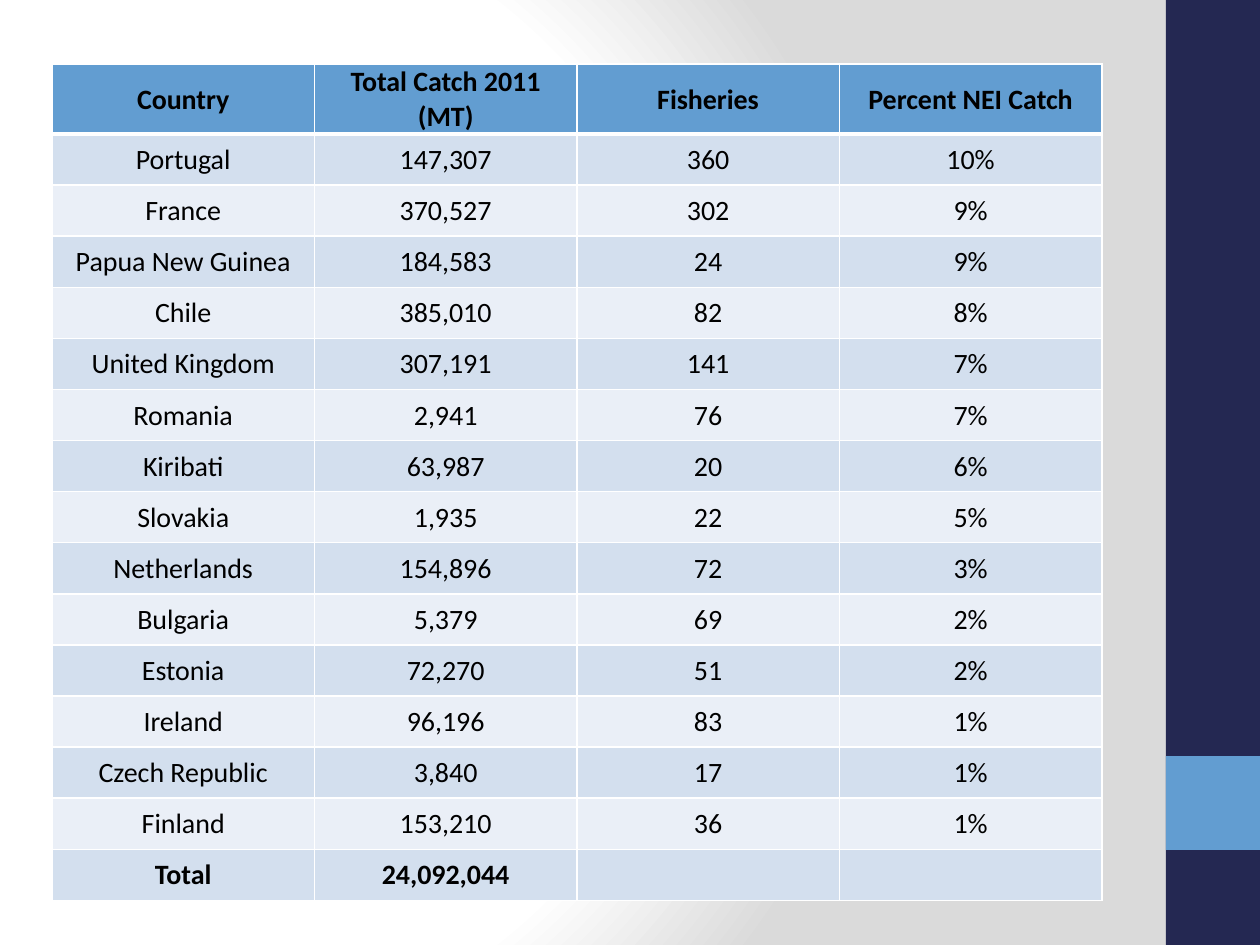
"""Build a slide with a table of 2011 fish catch by country."""
from dataclasses import dataclass

from lxml.etree import SubElement
from pptx import Presentation
from pptx.dml.color import RGBColor
from pptx.enum.shapes import MSO_SHAPE as Preset
from pptx.enum.text import MSO_ANCHOR as Anchor, PP_ALIGN as Align
from pptx.oxml.ns import qn
from pptx.slide import Slide
from pptx.table import _Cell as Cell
from pptx.util import Emu, Pt

EMU_PER_PX = 914400 / 126
SLIDE_WIDTH, SLIDE_HEIGHT = 1260, 945
TABLE_LEFT, TABLE_TOP, TABLE_WIDTH = 52, 64, 1050
HEADER_HEIGHT, BODY_HEIGHT = 70, 767
COLORS = {
    "white": "FFFFFF",
    "black": "000000",
    "grey": "DADADA",
    "navy": "242852",
    "blue": "629DD1",
    "dark_band": "D3DFEE",
    "light_band": "EAEFF7",
}
BACKGROUND_STOPS = [(0, "white"), (75, "white"), (100, "grey")]
BACKGROUND_FOCUS = {"l": 20, "t": 50, "r": 100, "b": 50}


@dataclass
class Panel:
    left: int
    top: int
    width: int
    height: int
    color: str


@dataclass
class CatchRow:
    country: str
    catch: str
    fisheries: str = ""
    percent: str = ""
    color: str = "dark_band"
    bold: bool = False
    rule_below: int = 1

    def texts(self) -> list[str]:
        return [self.country, self.catch, self.fisheries, self.percent]


PANELS = [
    Panel(1166, 0, 94, SLIDE_HEIGHT, "navy"),
    Panel(1166, 756, 94, 94, "blue"),
]
HEADER = CatchRow("Country", "Total Catch 2011\n(MT)", "Fisheries",
                  "Percent NEI Catch", "blue", True, 3)
COUNTRIES = [
    CatchRow("Portugal", "147,307", "360", "10%"),
    CatchRow("France", "370,527", "302", "9%"),
    CatchRow("Papua New Guinea", "184,583", "24", "9%"),
    CatchRow("Chile", "385,010", "82", "8%"),
    CatchRow("United Kingdom", "307,191", "141", "7%"),
    CatchRow("Romania", "2,941", "76", "7%"),
    CatchRow("Kiribati", "63,987", "20", "6%"),
    CatchRow("Slovakia", "1,935", "22", "5%"),
    CatchRow("Netherlands", "154,896", "72", "3%"),
    CatchRow("Bulgaria", "5,379", "69", "2%"),
    CatchRow("Estonia", "72,270", "51", "2%"),
    CatchRow("Ireland", "96,196", "83", "1%"),
    CatchRow("Czech Republic", "3,840", "17", "1%"),
    CatchRow("Finland", "153,210", "36", "1%"),
]
TOTAL = CatchRow("Total", "24,092,044", bold=True)


def px(length: float) -> Emu:
    return Emu(round(length * EMU_PER_PX))


def rgb(name: str) -> RGBColor:
    return RGBColor.from_string(COLORS[name])


def set_background(slide: Slide) -> None:
    slide.background.fill.gradient()
    gradient = next(slide.element.iter(qn("a:gradFill")))
    for child in list(gradient):
        gradient.remove(child)
    stops = SubElement(gradient, qn("a:gsLst"))
    for position, color in BACKGROUND_STOPS:
        stop = SubElement(stops, qn("a:gs"), pos=str(position * 1000))
        SubElement(stop, qn("a:srgbClr"), val=COLORS[color])
    circle = SubElement(gradient, qn("a:path"), path="circle")
    focus = {side: str(value * 1000) for side, value in BACKGROUND_FOCUS.items()}
    SubElement(circle, qn("a:fillToRect"), focus)


def add_panel(slide: Slide, panel: Panel) -> None:
    shape = slide.shapes.add_shape(Preset.RECTANGLE, px(panel.left), px(panel.top),
                                   px(panel.width), px(panel.height))
    shape.shadow.inherit = False
    shape.fill.solid()
    shape.fill.fore_color.rgb = rgb(panel.color)
    shape.line.fill.background()


def add_borders(cell: Cell, rule_below: int) -> None:
    properties = cell._tc.get_or_add_tcPr()
    for side, points in zip("LRTB", (1, 1, 1, rule_below)):
        line = SubElement(properties, qn(f"a:ln{side}"), w=str(Pt(points)))
        fill = SubElement(line, qn("a:solidFill"))
        SubElement(fill, qn("a:srgbClr"), val=COLORS["white"])


def format_cell(cell: Cell, text: str, row: CatchRow, color: str) -> None:
    add_borders(cell, row.rule_below)
    cell.fill.solid()
    cell.fill.fore_color.rgb = rgb(color)
    cell.vertical_anchor = Anchor.MIDDLE
    cell.margin_left = cell.margin_right = cell.margin_top = px(1)
    cell.margin_bottom = 0
    cell.text_frame.text = text
    for paragraph in cell.text_frame.paragraphs:
        paragraph.alignment = Align.CENTER
        for run in paragraph.runs:
            run.font.name = "Calibri"
            run.font.size = Pt(16)
            run.font.bold = row.bold
            run.font.color.rgb = rgb("black")


def add_catch_table(slide: Slide) -> None:
    rows = [HEADER, *COUNTRIES, TOTAL]
    column_count = len(HEADER.texts())
    table = slide.shapes.add_table(
        len(rows), column_count, px(TABLE_LEFT), px(TABLE_TOP),
        px(TABLE_WIDTH), px(HEADER_HEIGHT + BODY_HEIGHT)).table
    for column in table.columns:
        column.width = px(TABLE_WIDTH / column_count)
    for index, row in enumerate(rows):
        is_header = index == 0
        table.rows[index].height = px(
            HEADER_HEIGHT if is_header else BODY_HEIGHT / (len(rows) - 1))
        is_light = not is_header and index % 2 == 0
        color = "light_band" if is_light else row.color
        for cell, text in zip(table.rows[index].cells, row.texts()):
            format_cell(cell, text, row, color)


def main() -> None:
    presentation = Presentation()
    presentation.slide_width = px(SLIDE_WIDTH)
    presentation.slide_height = px(SLIDE_HEIGHT)
    slide = presentation.slides.add_slide(presentation.slide_layouts[6])
    set_background(slide)
    for panel in PANELS:
        add_panel(slide, panel)
    add_catch_table(slide)
    presentation.save("out.pptx")


if __name__ == "__main__":
    main()
